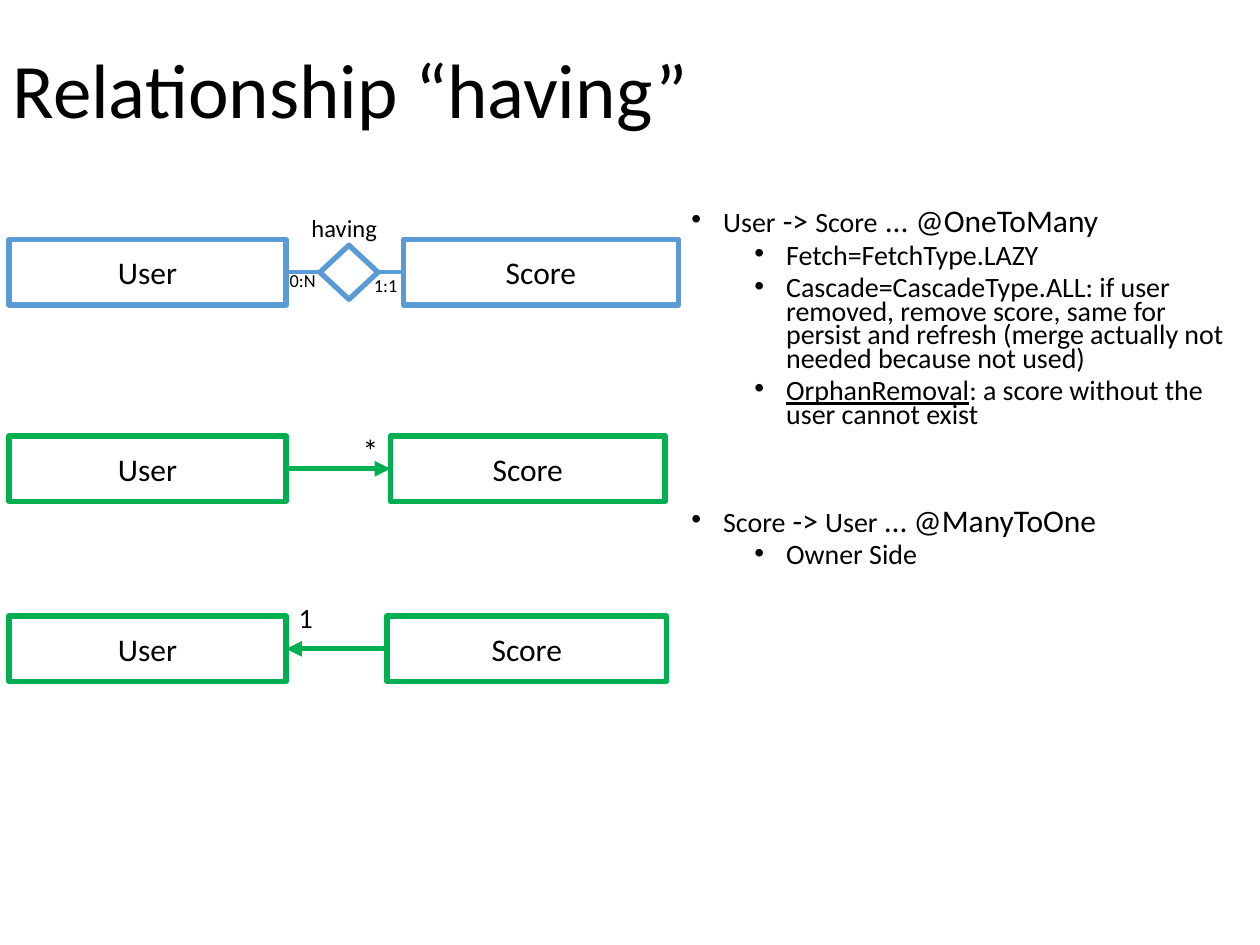
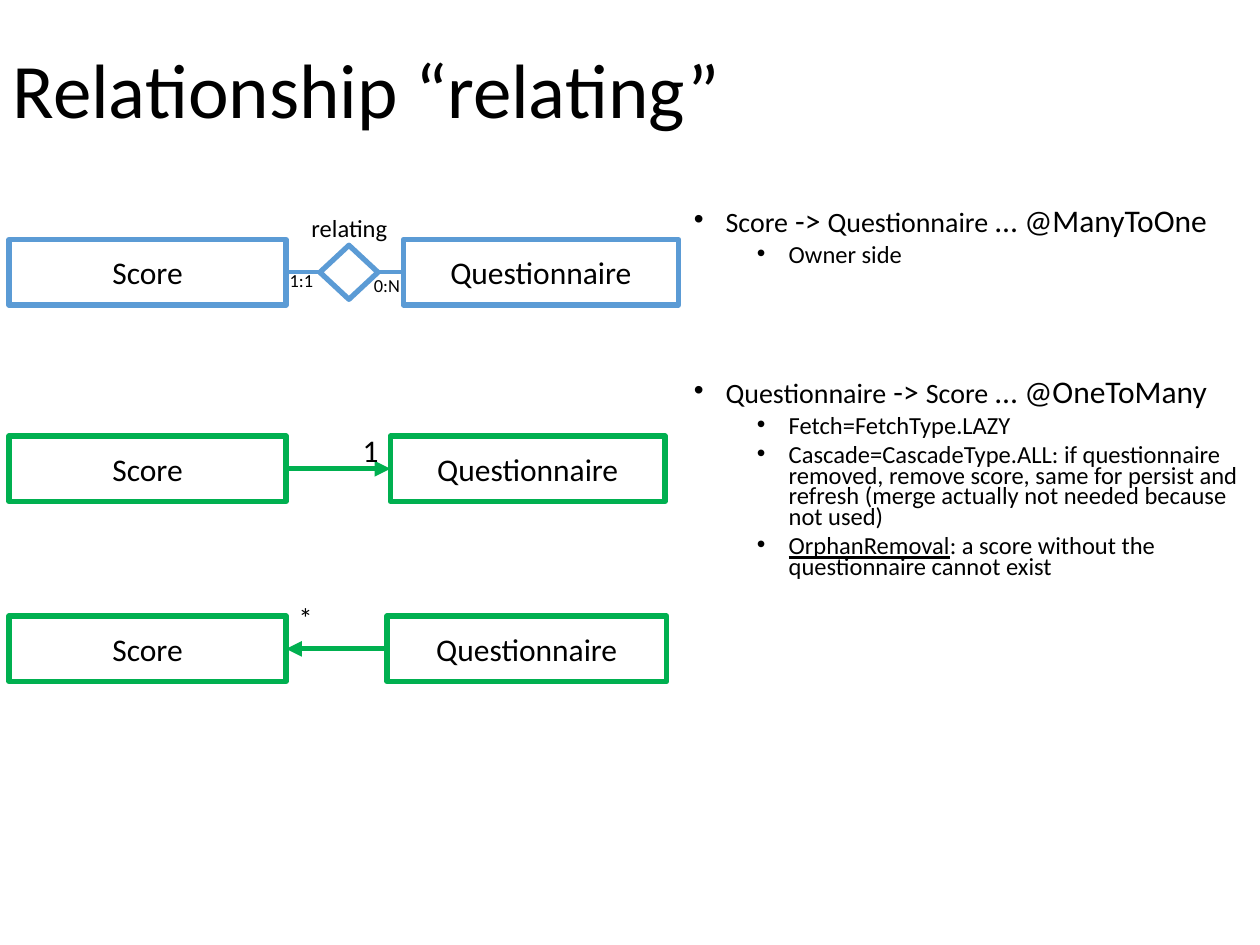
from lxml import etree
from pptx import Presentation
from pptx.dml.color import RGBColor
from pptx.enum.shapes import MSO_CONNECTOR, MSO_SHAPE
from pptx.enum.text import MSO_ANCHOR, MSO_AUTO_SIZE, PP_ALIGN
from pptx.oxml.ns import qn
from pptx.util import Cm, Pt

BLACK = RGBColor(0x00, 0x00, 0x00)
WHITE = RGBColor(0xFF, 0xFF, 0xFF)
BLUE = RGBColor(0x5B, 0x9B, 0xD5)
GREEN = RGBColor(0x00, 0xB0, 0x50)
FONT = "Calibri"
ROW_LEFT = 0.18
ROW_HEIGHT = 1.32
ENTITY_WIDTH = 5.59
ER_TOP, FORWARD_TOP, BACKWARD_TOP = 4.83, 8.79, 12.42


def add_run(paragraph, text, size, underline=False):
    """Append one formatted run to a paragraph."""
    run = paragraph.add_run()
    run.text = text
    run.font.name = FONT
    run.font.size = Pt(size)
    run.font.color.rgb = BLACK
    if underline:
        run.font.underline = True


def add_title(slide, text):
    """Place and format the title placeholder."""
    title = slide.shapes.title
    title.left, title.top, title.width, title.height = Cm(0), Cm(0.05), Cm(21.92), Cm(3.68)
    frame = title.text_frame
    frame.auto_size = MSO_AUTO_SIZE.NONE
    frame.vertical_anchor = MSO_ANCHOR.MIDDLE
    paragraph = frame.paragraphs[0]
    paragraph.alignment = PP_ALIGN.LEFT
    paragraph.line_spacing = 0.9
    add_run(paragraph, text, 44)


def add_block(slide, preset, left, top, width, height, color, fill=None):
    """Draw an outlined preset shape and return it."""
    shape = slide.shapes.add_shape(preset, Cm(left), Cm(top), Cm(width), Cm(height))
    shape.shadow.inherit = False
    shape.line.color.rgb = color
    shape.line.width = Pt(3)
    if fill is None:
        shape.fill.background()
    else:
        shape.fill.solid()
        shape.fill.fore_color.rgb = fill
    return shape


def add_entity(slide, name, left, top, width, color, fill=None):
    """Draw a named entity rectangle."""
    shape = add_block(slide, MSO_SHAPE.RECTANGLE, left, top, width, ROW_HEIGHT, color, fill)
    shape.text_frame.vertical_anchor = MSO_ANCHOR.MIDDLE
    paragraph = shape.text_frame.paragraphs[0]
    paragraph.alignment = PP_ALIGN.CENTER
    add_run(paragraph, name, 18)


def add_link(slide, start, end, y, color, width, arrow=False):
    """Draw a horizontal line, with an optional arrowhead at its end."""
    link = slide.shapes.add_connector(MSO_CONNECTOR.STRAIGHT, Cm(start), Cm(y), Cm(end), Cm(y))
    link.line.color.rgb = color
    link.line.width = Pt(width)
    if arrow:
        etree.SubElement(link.line._get_or_add_ln(), qn("a:tailEnd"), type="triangle")
    etree.SubElement(link._element.spPr, qn("a:effectLst"))


def add_label(slide, text, left, top, width, height, size):
    """Place a short label beside a link."""
    label = slide.shapes.add_textbox(Cm(left), Cm(top), Cm(width), Cm(height))
    label.text_frame.word_wrap = True
    label.text_frame.margin_right = 0
    add_run(label.text_frame.paragraphs[0], text, size)


def add_er_row(slide, left, top, entities, relation, cardinalities):
    """Draw two entities joined by a relationship diamond."""
    middle = top + ROW_HEIGHT / 2
    left_edge, right_edge = left + ENTITY_WIDTH, left + 7.95
    diamond_left, diamond_width, diamond_height = left + 6.27, 1.17, 1.09
    add_entity(slide, entities[1], right_edge, top, 5.55, BLUE, WHITE)
    add_entity(slide, entities[0], left, top, ENTITY_WIDTH, BLUE, WHITE)
    add_block(slide, MSO_SHAPE.DIAMOND, diamond_left, middle - diamond_height / 2,
              diamond_width, diamond_height, BLUE, WHITE)
    add_link(slide, right_edge, diamond_left + diamond_width, middle, BLUE, 2.25)
    add_link(slide, diamond_left, left_edge, middle, BLUE, 2.25)
    add_label(slide, cardinalities[0], left + 5.41, top + 0.48, 1.04, 0.71, 10.5)
    add_label(slide, cardinalities[1], left + 7.11, top + 0.58, 1.04, 0.71, 10.5)
    add_label(slide, relation, left + 5.85, top - 0.66, 2.06, 0.86, 14)


def add_forward_row(slide, left, top, entities, multiplicity):
    """Draw an arrow from the first entity to the second."""
    left_edge, right_edge = left + ENTITY_WIDTH, left + 7.69
    add_entity(slide, entities[1], right_edge, top, 5.54, GREEN)
    add_entity(slide, entities[0], left, top, ENTITY_WIDTH, GREEN)
    add_link(slide, left_edge, right_edge, top + ROW_HEIGHT / 2, GREEN, 3, arrow=True)
    add_label(slide, multiplicity, left + 6.88, top - 0.23, 0.84, 1.02, 18)


def add_backward_row(slide, left, top, entities, multiplicity):
    """Draw an arrow from the second entity to the first."""
    left_edge, right_edge = left + ENTITY_WIDTH, left + 7.62
    add_entity(slide, entities[1], right_edge, top, 5.64, GREEN)
    add_entity(slide, entities[0], left, top, ENTITY_WIDTH, GREEN)
    add_link(slide, right_edge, left_edge, top + ROW_HEIGHT / 2, GREEN, 3, arrow=True)
    add_label(slide, multiplicity, left + 5.59, top - 0.43, 0.81, 0.94, 16)


def format_bullet(paragraph, level, space_before):
    """Give a paragraph its bullet, indent and spacing."""
    properties = paragraph._p.get_or_add_pPr()
    properties.set("marL", str(Cm(1.91 if level else 0.64)))
    properties.set("indent", str(-Cm(0.64)))
    color = etree.SubElement(properties, qn("a:buClr"))
    etree.SubElement(color, qn("a:srgbClr"), val=str(BLACK))
    etree.SubElement(properties, qn("a:buFont"), typeface="Arial")
    etree.SubElement(properties, qn("a:buChar"), char="•")
    paragraph.level = level
    paragraph.line_spacing = 0.7
    paragraph.space_before = Pt(space_before)


def add_mappings(slide, left, width, mappings, gap):
    """List the mapping of each direction, with a gap between the two."""
    box = slide.shapes.add_textbox(Cm(left), Cm(4.14), Cm(width), Cm(14.91))
    frame = box.text_frame
    frame.word_wrap = True
    for index, (source, target, annotation, size, details) in enumerate(mappings):
        heading = frame.add_paragraph() if index else frame.paragraphs[0]
        format_bullet(heading, 0, gap if index else 0)
        for text, run_size in ((source, 16), (" -> ", 18), (target, 16), (annotation, 18)):
            add_run(heading, text, run_size)
        for term, text in details:
            detail = frame.add_paragraph()
            format_bullet(detail, 1, 5)
            if term:
                add_run(detail, term, size, underline=True)
            add_run(detail, text, size)


def one_to_many_details(owner):
    """Return the detail lines of a one-to-many mapping."""
    return [
        ("", "Fetch=FetchType.LAZY"),
        ("", f"Cascade=CascadeType.ALL: if {owner} removed, remove score, same for persist "
             "and refresh (merge actually not needed because not used)"),
        ("OrphanRemoval", f": a score without the {owner} cannot exist"),
    ]


def add_relationship_slide(presentation, relation, entities, cardinalities, multiplicities,
                           list_left, list_width, mappings, gap):
    """Build a slide that explains one relationship."""
    slide = presentation.slides.add_slide(presentation.slide_layouts[5])
    add_title(slide, f"Relationship “{relation}”")
    add_mappings(slide, list_left, list_width, mappings, gap)
    add_er_row(slide, ROW_LEFT, ER_TOP, entities, relation, cardinalities)
    add_forward_row(slide, ROW_LEFT, FORWARD_TOP, entities, multiplicities[0])
    add_backward_row(slide, ROW_LEFT, BACKWARD_TOP, entities, multiplicities[1])


def main():
    """Build and save the presentation."""
    presentation = Presentation()
    presentation.slide_width, presentation.slide_height = Cm(25.4), Cm(19.05)
    add_relationship_slide(
        presentation, "having", ("User", "Score"), ("0:N", "1:1"), ("*", "1"), 13.69, 11.71,
        [("User", "Score", " ... @OneToMany", 16, one_to_many_details("user")),
         ("Score", "User", " … @ManyToOne", 16, [("", "Owner Side")])], 47)
    add_relationship_slide(
        presentation, "relating", ("Score", "Questionnaire"), ("1:1", "0:N"), ("1", "*"),
        13.74, 11.91,
        [("Score", "Questionnaire", " … @ManyToOne", 14, [("", "Owner side")]),
         ("Questionnaire", "Score", " … @OneToMany", 14, one_to_many_details("questionnaire"))],
        66)
    presentation.save("out.pptx")


if __name__ == "__main__":
    main()
